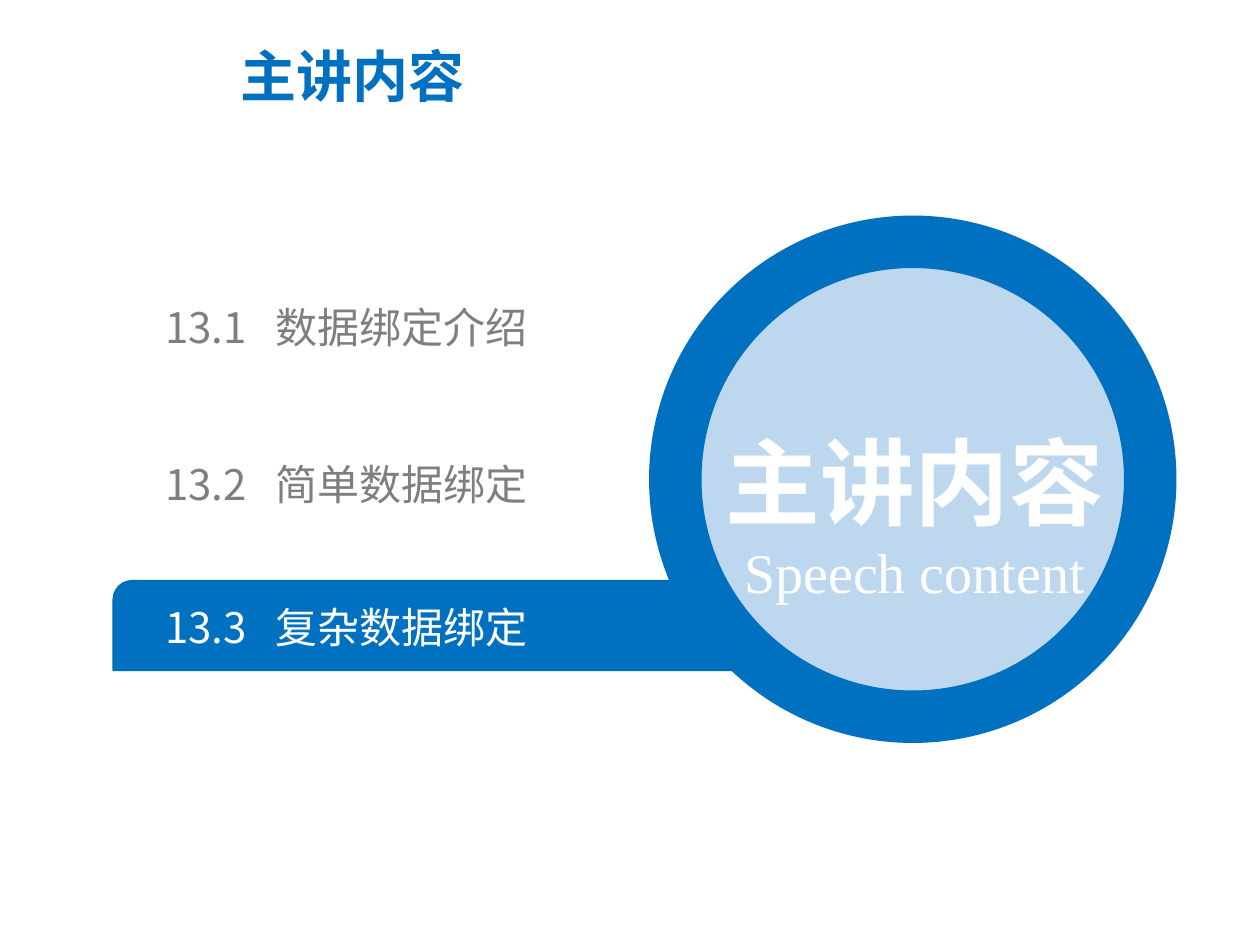
from lxml import etree
from pptx import Presentation
from pptx.dml.color import RGBColor
from pptx.enum.shapes import MSO_SHAPE
from pptx.enum.text import MSO_ANCHOR, MSO_AUTO_SIZE, PP_ALIGN
from pptx.oxml.ns import qn
from pptx.util import Pt

BLUE = RGBColor(0x00, 0x70, 0xC0)
DARK_BLUE = RGBColor(0x00, 0x6B, 0xA9)
PALE_BLUE = RGBColor(0xBD, 0xD7, 0xEE)
GRAY = RGBColor(0x7F, 0x7F, 0x7F)
WHITE = RGBColor(0xFF, 0xFF, 0xFF)
LEFT, CENTER = PP_ALIGN.LEFT, PP_ALIGN.CENTER
TOP, MIDDLE = MSO_ANCHOR.TOP, MSO_ANCHOR.MIDDLE
NO_FIT = MSO_AUTO_SIZE.NONE
ELLIPSE, BAR = MSO_SHAPE.OVAL, MSO_SHAPE.ROUND_2_DIAG_RECTANGLE
CHINESE_FONT, LATIN_FONT = "Noto Sans CJK SC", "Times New Roman"

TITLE = "主讲内容"
SUBTITLE = "Speech content"
SECTIONS = [
    ("13.1", "数据绑定介绍", 172.2),
    ("13.2", "简单数据绑定", 262.2),
    ("13.3", "复杂数据绑定", 343.6),
]
CURRENT = "13.3"
SECTION_LEFT, SECTION_WIDTH, SECTION_HEIGHT = 94.4, 333, 28.8
SECTION_TAB = 63


def place(box, left, top, width, height):
    """Move and size a shape in points."""
    box.left, box.top = Pt(left), Pt(top)
    box.width, box.height = Pt(width), Pt(height)


def prepare_frame(box, anchor, side=7.2, edge=3.6):
    """Set wrapping, anchor and insets of a text frame."""
    frame = box.text_frame
    frame.word_wrap = True
    frame.auto_size = NO_FIT
    frame.vertical_anchor = anchor
    frame.margin_left = frame.margin_right = Pt(side)
    frame.margin_top = frame.margin_bottom = Pt(edge)
    return frame


def write(para, text, size, color, font=CHINESE_FONT, bold=False,
          align=LEFT, spacing=1.0, tab=None):
    """Write one formatted line into a paragraph."""
    para.alignment = align
    para.line_spacing = spacing
    if tab:
        stops = etree.SubElement(para._p.get_or_add_pPr(), qn("a:tabLst"))
        etree.SubElement(stops, qn("a:tab"), pos=str(Pt(tab)), algn="l")
    span = para.add_run()
    span.text = text
    span.font.size = Pt(size)
    span.font.bold = bold
    span.font.color.rgb = color
    span.font.name = font
    etree.SubElement(span._r.get_or_add_rPr(), qn("a:ea"), typeface=font)


def add_figure(page, kind, bounds, fill, line, weight):
    """Add a filled and outlined preset shape."""
    figure = page.shapes.add_shape(kind, *map(Pt, bounds))
    figure.shadow.inherit = False
    figure.fill.solid()
    figure.fill.fore_color.rgb = fill
    figure.line.color.rgb = line
    figure.line.width = Pt(weight)
    return figure


def main():
    """Build the contents slide."""
    deck = Presentation()
    deck.slide_width, deck.slide_height = Pt(720), Pt(540)
    page = deck.slides.add_slide(deck.slide_layouts[5])

    title = page.shapes.title
    place(title, 130.3, 24.5, 442.8, 61.2)
    write(prepare_frame(title, TOP).paragraphs[0], TITLE, 32, BLUE,
          bold=True, spacing=0.9)

    bar = add_figure(page, BAR, (64.8, 331.9, 450.7, 51.1), BLUE, DARK_BLUE, 1)
    bar.adjustments[0] = 0.21
    add_figure(page, ELLIPSE, (385.9, 138.2, 271.4, 271.4), PALE_BLUE, BLUE, 30)

    label = page.shapes.add_textbox(*map(Pt, (382.3, 205.9, 280.8, 143.3)))
    frame = prepare_frame(label, MIDDLE)
    write(frame.paragraphs[0], TITLE, 54, WHITE, bold=True, align=CENTER,
          spacing=1.5)
    write(frame.add_paragraph(), SUBTITLE, 32, WHITE, font=LATIN_FONT,
          align=CENTER)

    for number, name, top in SECTIONS:
        box = page.shapes.add_textbox(
            *map(Pt, (SECTION_LEFT, top, SECTION_WIDTH, SECTION_HEIGHT)))
        frame = prepare_frame(box, MIDDLE, side=0, edge=0)
        write(frame.paragraphs[0], f"{number}\t{name}", 24,
              WHITE if number == CURRENT else GRAY, tab=SECTION_TAB)

    deck.save("out.pptx")


if __name__ == "__main__":
    main()
